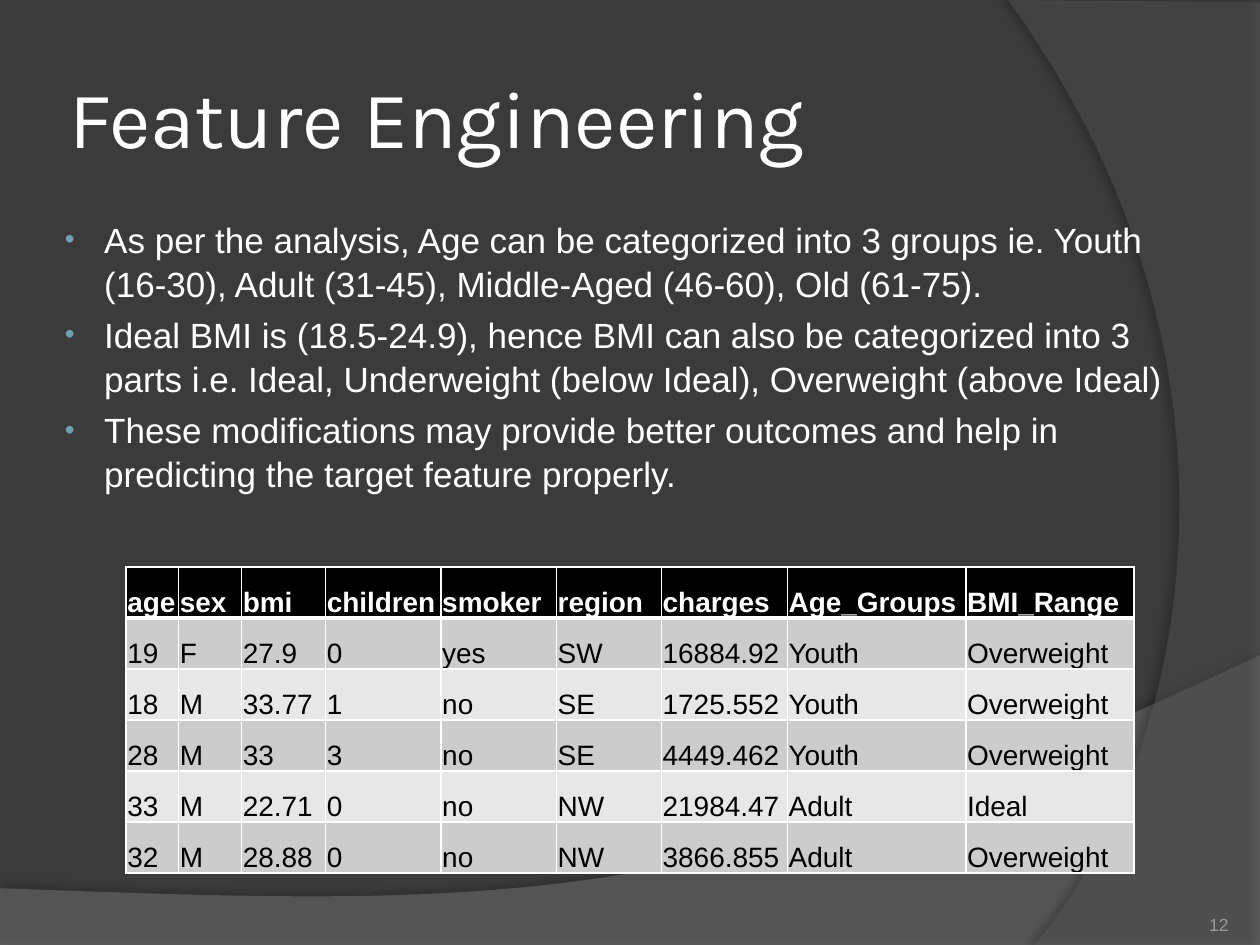
from dataclasses import dataclass

from lxml import etree
from pptx import Presentation
from pptx.dml.color import RGBColor
from pptx.enum.text import MSO_ANCHOR, PP_ALIGN
from pptx.oxml.ns import qn
from pptx.util import Pt

BOTTOM, MIDDLE, TOP = MSO_ANCHOR.BOTTOM, MSO_ANCHOR.MIDDLE, MSO_ANCHOR.TOP
LEFT, RIGHT = PP_ALIGN.LEFT, PP_ALIGN.RIGHT
TITLE_ONLY_LAYOUT = 5
WIDTH, HEIGHT = 720, 540

Point = tuple[float, float]


@dataclass(frozen=True)
class Style:
    font: str
    size: float
    color: str
    bold: bool = False


@dataclass(frozen=True)
class Theme:
    background: str = "3B3B3B"
    bullet: str = "6EA0B0"
    border: str = "FFFFFF"
    header_fill: str = "000000"
    band_fills: tuple[str, str] = ("CCCCCC", "E7E7E7")
    title: Style = Style("Karla", 46, "FFFFFF")
    body: Style = Style("Arial", 20, "FFFFFF")
    header: Style = Style("Arial", 16, "FFFFFF", True)
    cell: Style = Style("Arial", 16, "000000")
    page_number: Style = Style("Arial", 10, "9D9B9A")


@dataclass(frozen=True)
class Box:
    left: float
    top: float
    width: float
    height: float

    def lengths(self) -> tuple[Pt, ...]:
        return Pt(self.left), Pt(self.top), Pt(self.width), Pt(self.height)


@dataclass(frozen=True)
class Swoosh:
    """A translucent panel: straight corners, closed by one Bezier curve."""
    corners: tuple[Point, ...]
    curve: tuple[Point, Point, Point, Point]
    color: str
    opacity: int
    shadow_opacity: int
    shadow_distance: float
    shadow_angle: int


THEME = Theme()
SWOOSHES = (
    Swoosh(((0, HEIGHT), (WIDTH, HEIGHT)),
           ((WIDTH, 374.4), (402.5, 524.9), (281.5, 517.7), (0, 507.6)),
           "7F7F7F", 45, 35, 3.5, 270),
    Swoosh(((WIDTH, 1.4), (WIDTH, HEIGHT)),
           ((591.1, HEIGHT), (673.2, 445.7), (733, 216), (576, 0)),
           "5E5E5E", 40, 45, 4, 180),
)
BULLETS = (
    "As per the analysis, Age can be categorized into 3 groups ie. Youth (16-30), "
    "Adult (31-45), Middle-Aged (46-60), Old (61-75).",
    "Ideal BMI is (18.5-24.9), hence BMI can also be categorized into 3 parts i.e. "
    "Ideal, Underweight (below Ideal), Overweight (above Ideal)",
    "These modifications may provide better outcomes and help in predicting the "
    "target feature properly.",
)
COLUMN_WIDTHS = (30, 36, 48, 66, 66, 60, 72, 102, 96)
ROW_HEIGHT = 29.16
ROWS = (
    ("age", "sex", "bmi", "children", "smoker", "region", "charges", "Age_Groups", "BMI_Range"),
    ("19", "F", "27.9", "0", "yes", "SW", "16884.92", "Youth", "Overweight"),
    ("18", "M", "33.77", "1", "no", "SE", "1725.552", "Youth", "Overweight"),
    ("28", "M", "33", "3", "no", "SE", "4449.462", "Youth", "Overweight"),
    ("33", "M", "22.71", "0", "no", "NW", "21984.47", "Adult", "Ideal"),
    ("32", "M", "28.88", "0", "no", "NW", "3866.855", "Adult", "Overweight"),
)


def add_xml(parent, tag: str, **attributes):
    values = {name: str(value) for name, value in attributes.items()}
    return etree.SubElement(parent, qn(tag), values)


def set_fill(fill, color: str) -> None:
    fill.solid()
    fill.fore_color.rgb = RGBColor.from_string(color)


def format_paragraph(paragraph, style: Style, alignment=LEFT) -> None:
    paragraph.alignment = alignment
    font = paragraph.font
    font.name, font.size, font.bold = style.font, Pt(style.size), style.bold
    font.color.rgb = RGBColor.from_string(style.color)


def set_frame(frame, anchor, horizontal: float, vertical: float) -> None:
    frame.word_wrap = True
    frame.vertical_anchor = anchor
    frame.margin_left = frame.margin_right = Pt(horizontal)
    frame.margin_top = frame.margin_bottom = Pt(vertical)


def curve_points(curve: tuple[Point, Point, Point, Point], steps: int = 48) -> list[Point]:
    points = []
    for step in range(steps + 1):
        t = step / steps
        weights = ((1 - t) ** 3, 3 * t * (1 - t) ** 2, 3 * t * t * (1 - t), t ** 3)
        points.append(tuple(sum(w * p[axis] for w, p in zip(weights, curve)) for axis in (0, 1)))
    return points


def add_swoosh(slide, swoosh: Swoosh) -> None:
    outline = [(Pt(x), Pt(y)) for x, y in (*swoosh.corners, *curve_points(swoosh.curve))]
    builder = slide.shapes.build_freeform(*outline[0])
    builder.add_line_segments(outline[1:], close=True)
    shape = builder.convert_to_shape()
    set_fill(shape.fill, swoosh.color)
    shape.line.fill.background()
    shape.shadow.inherit = False
    properties = shape.element.spPr
    fill_color = properties.find(qn("a:solidFill"))[0]
    add_xml(fill_color, "a:alpha", val=swoosh.opacity * 1000)
    shadow = add_xml(properties.find(qn("a:effectLst")), "a:outerShdw", blurRad=Pt(4),
                     dist=Pt(swoosh.shadow_distance), dir=swoosh.shadow_angle * 60000,
                     algn="ctr", rotWithShape=0)
    shadow_color = add_xml(shadow, "a:srgbClr", val="000000")
    add_xml(shadow_color, "a:alpha", val=swoosh.shadow_opacity * 1000)
    slide.shapes.title.element.addprevious(shape.element)


def add_title(slide, text: str, box: Box) -> None:
    title = slide.shapes.title
    title.left, title.top, title.width, title.height = box.lengths()
    title.text_frame.text = text
    set_frame(title.text_frame, MIDDLE, 3.6, 3.6)
    format_paragraph(title.text_frame.paragraphs[0], THEME.title)


def add_bullets(slide, texts: tuple[str, ...], box: Box) -> None:
    frame = slide.shapes.add_textbox(*box.lengths()).text_frame
    set_frame(frame, TOP, 7.2, 3.6)
    frame.text = "\n".join(texts)
    for index, paragraph in enumerate(frame.paragraphs):
        format_paragraph(paragraph, THEME.body)
        paragraph.line_spacing = 1.05
        paragraph.space_before = Pt(4 if index else 0)
        properties = paragraph._p.get_or_add_pPr()
        properties.set("marL", str(Pt(22.5)))
        properties.set("indent", str(-Pt(22.5)))
        bullet = [etree.Element(qn(tag), {name: value}) for tag, name, value in (
            ("a:buSzPct", "val", "80000"),
            ("a:buFont", "typeface", "Arial"),
            ("a:buChar", "char", "•"))]
        color = etree.Element(qn("a:buClr"))
        add_xml(color, "a:srgbClr", val=THEME.bullet)
        properties.find(qn("a:spcBef")).addnext(color)
        for previous, element in zip((color, *bullet), bullet):
            previous.addnext(element)


def add_page_number(slide, text: str, box: Box) -> None:
    frame = slide.shapes.add_textbox(*box.lengths()).text_frame
    frame.text = text
    set_frame(frame, BOTTOM, 0, 0)
    format_paragraph(frame.paragraphs[0], THEME.page_number, RIGHT)


def set_borders(cell, top: float, bottom: float) -> None:
    """Draw the four cell borders; they must precede the fill in the XML."""
    properties = cell._tc.get_or_add_tcPr()
    for side, width in (("L", 1), ("R", 1), ("T", top), ("B", bottom)):
        line = add_xml(properties, f"a:ln{side}", w=Pt(width))
        add_xml(add_xml(line, "a:solidFill"), "a:srgbClr", val=THEME.border)


def add_data_table(slide, left: float, top: float) -> None:
    box = Box(left, top, sum(COLUMN_WIDTHS), ROW_HEIGHT * len(ROWS))
    table = slide.shapes.add_table(len(ROWS), len(COLUMN_WIDTHS), *box.lengths()).table
    for column, width in zip(table.columns, COLUMN_WIDTHS):
        column.width = Pt(width)
    for row_index, (row, texts) in enumerate(zip(table.rows, ROWS)):
        row.height = Pt(ROW_HEIGHT)
        is_header = row_index == 0
        fill = THEME.header_fill if is_header else THEME.band_fills[(row_index - 1) % 2]
        for cell, text in zip(row.cells, texts):
            cell.text = text
            cell.vertical_anchor = BOTTOM
            cell.margin_left = cell.margin_right = cell.margin_top = Pt(0.75)
            cell.margin_bottom = Pt(0)
            format_paragraph(cell.text_frame.paragraphs[0],
                             THEME.header if is_header else THEME.cell)
            set_borders(cell, 3 if row_index == 1 else 1, 3 if is_header else 1)
            set_fill(cell.fill, fill)


def main() -> None:
    presentation = Presentation()
    presentation.slide_width, presentation.slide_height = Pt(WIDTH), Pt(HEIGHT)
    slide = presentation.slides.add_slide(presentation.slide_layouts[TITLE_ONLY_LAYOUT])
    set_fill(slide.background.fill, THEME.background)
    for swoosh in SWOOSHES:
        add_swoosh(slide, swoosh)
    add_title(slide, "Feature Engineering", Box(36, 21.6, 588, 90))
    add_bullets(slide, BULLETS, Box(30, 120, 648, 338.4))
    add_page_number(slide, "12", Box(642, 505.5, 60, 28.75))
    add_data_table(slide, 72, 324)
    presentation.save("out.pptx")


if __name__ == "__main__":
    main()
